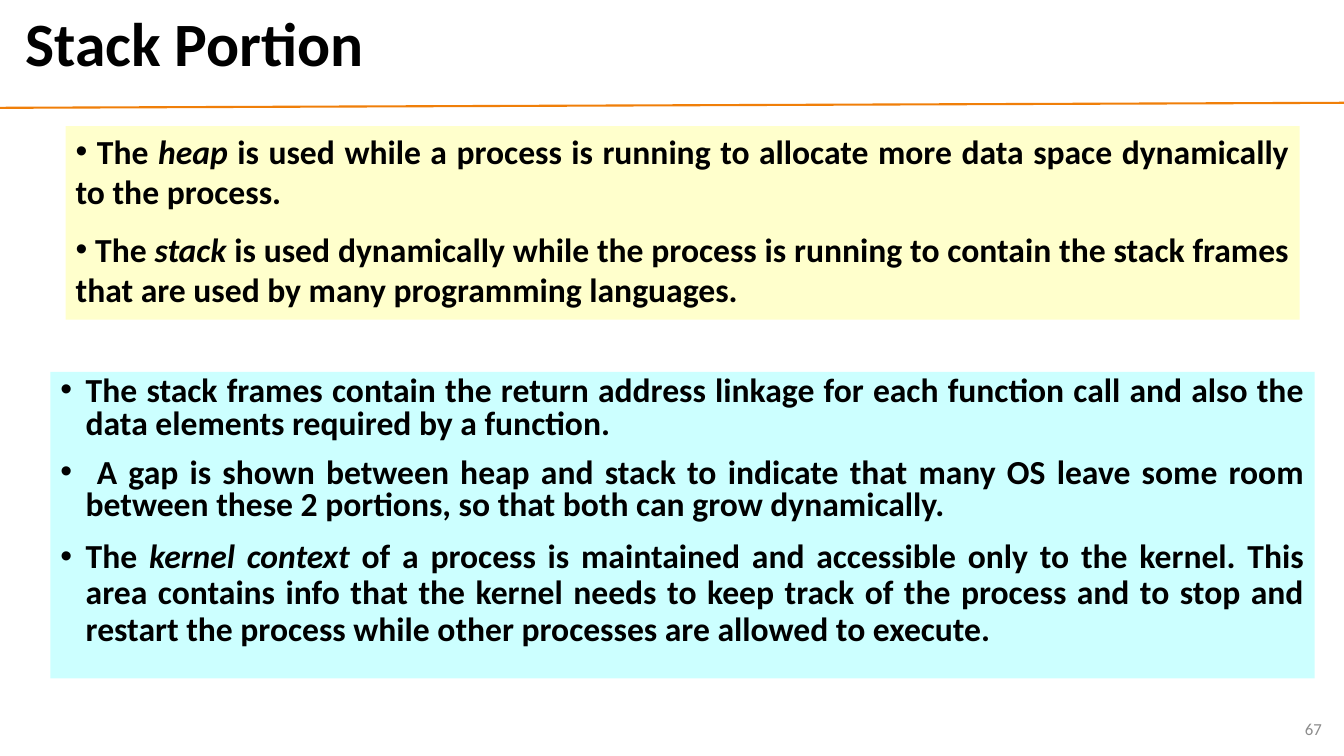
from lxml.etree import SubElement
from pptx import Presentation
from pptx.dml.color import RGBColor
from pptx.enum.shapes import MSO_CONNECTOR
from pptx.enum.text import MSO_ANCHOR, MSO_AUTO_SIZE, PP_ALIGN
from pptx.oxml.ns import qn
from pptx.util import Inches, Pt

COLOURS = {
    "text": "000000",
    "rule": "F07F09",
    "heap": "FFFFCC",
    "frames": "CCFFFF",
    "number": "8C8C8C",
}
TITLE_FONT = {"name": "Calibri", "size": Pt(44), "bold": True}
LIST_FONT = {"name": "Calibri", "size": Pt(24), "bold": True}
NUMBER_FONT = {"name": "Calibri", "size": Pt(12)}

HEAP_ITEMS = [
    (1.0, [" The ", "heap ", "is used while a process is running to allocate more "
           "data space dynamically to the process."]),
    (1.0, [" The ", "stack ", "is used dynamically while the process is running to "
           "contain the stack frames that are used by many programming languages."]),
]
FRAME_ITEMS = [
    (0.8, ["The stack frames contain the return address linkage for each function "
           "call and also the data elements required by a function."]),
    (0.8, [" A gap is shown between heap and stack to indicate that many OS leave "
           "some room between these 2 portions, so that both can grow dynamically."]),
    (0.9, ["The ", "kernel context", " of a process is maintained and accessible only "
           "to the kernel. This area contains info that the kernel needs to keep track "
           "of the process and to stop and restart the process while other processes "
           "are allowed to execute."]),
]


def colour(name):
    """Return the named colour."""
    return RGBColor.from_string(COLOURS[name])


def place(shape, left, top, width, height):
    """Move and size a shape, with lengths in inches."""
    shape.left, shape.top = Inches(left), Inches(top)
    shape.width, shape.height = Inches(width), Inches(height)


def set_frame(shape, anchor):
    """Wrap the text of a shape at its full size and return the frame."""
    frame = shape.text_frame
    frame.word_wrap = True
    frame.auto_size = MSO_AUTO_SIZE.NONE
    frame.vertical_anchor = anchor
    return frame


def set_font(font, values, colour_name):
    """Apply font values and a colour."""
    for name, value in values.items():
        setattr(font, name, value)
    font.color.rgb = colour(colour_name)


def write_line(shape, text, alignment, font_values, colour_name):
    """Write one vertically centred line in a shape."""
    paragraph = set_frame(shape, MSO_ANCHOR.MIDDLE).paragraphs[0]
    paragraph.alignment = alignment
    run = paragraph.add_run()
    run.text = text
    set_font(run.font, font_values, colour_name)
    return paragraph


def add_bullet(paragraph, indent):
    """Give a paragraph a round bullet with a hanging indent."""
    properties = paragraph._p.get_or_add_pPr()
    properties.set("marL", str(Inches(indent)))
    properties.set("indent", str(-Inches(indent)))
    SubElement(properties, qn("a:buFont"), typeface="Arial")
    SubElement(properties, qn("a:buChar"), char="•")


def fill_list(placeholder, box, fill_name, items, indent):
    """Write justified bullets, with every second run in italics."""
    place(placeholder, *box)
    placeholder.fill.solid()
    placeholder.fill.fore_color.rgb = colour(fill_name)
    frame = set_frame(placeholder, MSO_ANCHOR.TOP)
    for index, (spacing, texts) in enumerate(items):
        paragraph = frame.add_paragraph() if index else frame.paragraphs[0]
        add_bullet(paragraph, indent)
        paragraph.alignment = PP_ALIGN.JUSTIFY
        paragraph.line_spacing = spacing
        paragraph.space_before = Pt(12 if index else 0)
        for position, text in enumerate(texts):
            run = paragraph.add_run()
            run.text = text
            set_font(run.font, LIST_FONT, "text")
            run.font.italic = position % 2 == 1


def add_rule(slide):
    """Draw the line under the title."""
    rule = slide.shapes.add_connector(
        MSO_CONNECTOR.STRAIGHT, Inches(0), Inches(1.07), Inches(13.33), Inches(1.02))
    rule.line.color.rgb = colour("rule")
    rule.line.width = Pt(1.5)
    SubElement(rule._element.spPr, qn("a:effectLst"))


def add_number(slide, text):
    """Write the slide number at the bottom right."""
    box = slide.shapes.add_textbox(Inches(10.21), Inches(7.03), Inches(3), Inches(0.4))
    write_line(box, text, PP_ALIGN.RIGHT, NUMBER_FONT, "number")


def main():
    """Build and save the slide."""
    presentation = Presentation()
    presentation.slide_width = Inches(13.33)
    presentation.slide_height = Inches(7.5)
    slide = presentation.slides.add_slide(
        presentation.slide_layouts.get_by_name("Two Content"))
    title, heap, frames = slide.placeholders
    add_rule(slide)
    place(title, 0.15, 0.05, 12.89, 0.83)
    heading = write_line(title, "Stack Portion", PP_ALIGN.LEFT, TITLE_FONT, "text")
    heading.line_spacing = 0.9
    fill_list(heap, (0.65, 1.25, 12.24, 1.92), "heap", HEAP_ITEMS, 0)
    fill_list(frames, (0.5, 3.69, 12.54, 3.04), "frames", FRAME_ITEMS, 0.25)
    add_number(slide, "67")
    presentation.save("out.pptx")


if __name__ == "__main__":
    main()
